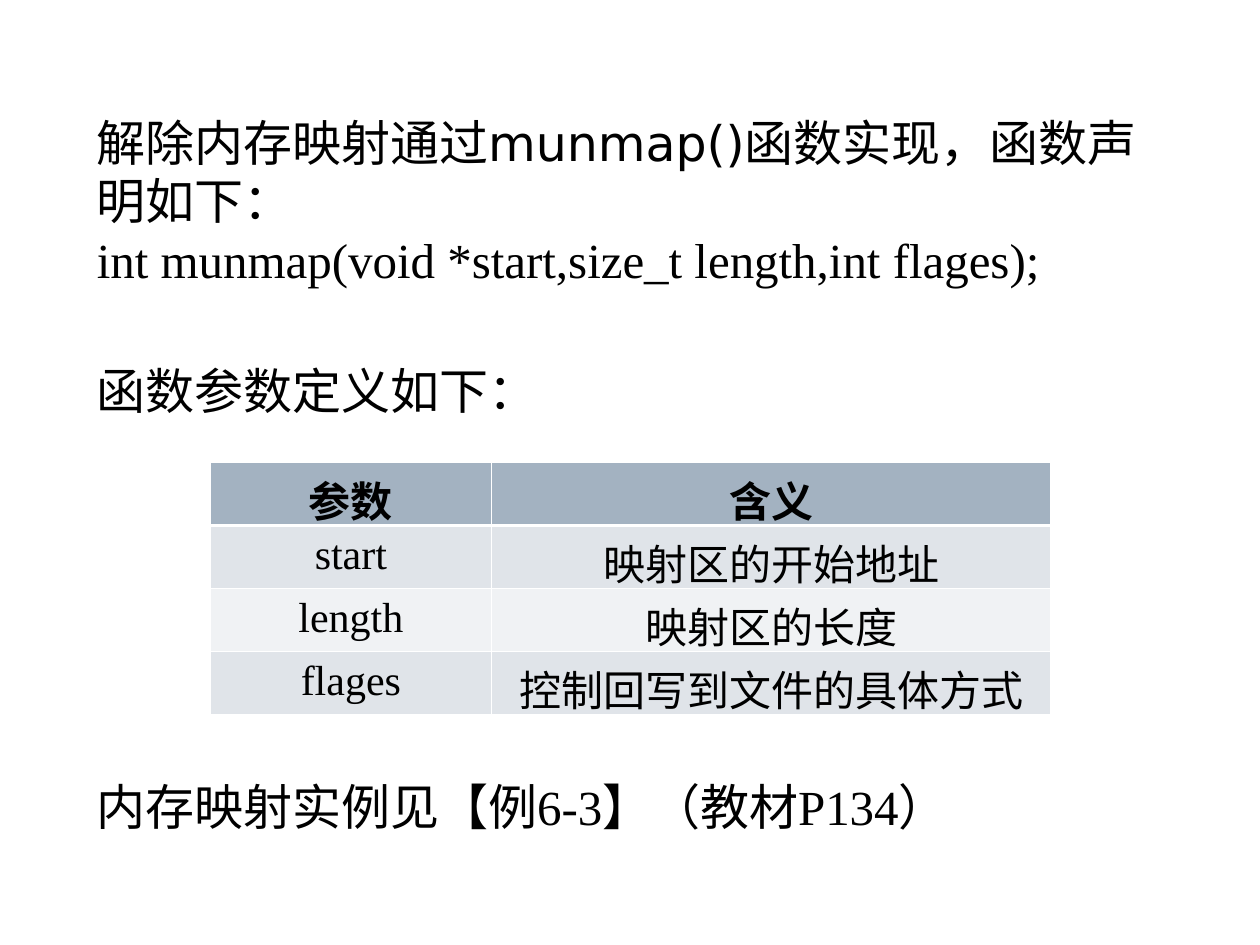
from lxml import etree
from pptx import Presentation
from pptx import util as u
from pptx.dml.color import RGBColor
from pptx.enum import text as t
from pptx.oxml.ns import qn

BLACK = RGBColor(0x00, 0x00, 0x00)
HEADER_FILL = RGBColor(0xA3, 0xB2, 0xC1)
BAND_FILLS = [RGBColor(0xF0, 0xF2, 0xF4), RGBColor(0xE0, 0xE4, 0xE9)]
BORDER = "FFFFFF"
THIN, THICK = 0.45, 1.47
SANS, SERIF = "DejaVu Sans", "Times New Roman"

# Content: (left, top, width, height), then (text, font) paragraphs
TEXTS = [
    ((0.67, 0.84, 8.66, 1.97), [
        ("解除内存映射通过munmap()函数实现，函数声明如下：", SANS),
        ("int munmap(void *start,size_t length,int flages);", SERIF),
    ]),
    ((0.67, 2.81, 8.66, 0.57), [("函数参数定义如下：", SANS)]),
    ((0.67, 6.11, 8.43, 0.57), [("内存映射实例见【例6-3】（教材P134）", SERIF)]),
]
PARAMETERS = [
    ("参数", "含义"),
    ("start", "映射区的开始地址"),
    ("length", "映射区的长度"),
    ("flages", "控制回写到文件的具体方式"),
]
TABLE_LEFT, TABLE_TOP, ROW_HEIGHT = 1.67, 3.67, 0.5
COLUMN_WIDTHS = [2.23, 4.44]


def write(paragraph, content, font, size, bold=False):
    run = paragraph.add_run()
    run.text = content
    values = {"name": font, "size": u.Pt(size), "bold": bold}
    for name, value in values.items():
        setattr(run.font, name, value)
    run.font.color.rgb = BLACK


def set_borders(cell, widths):
    properties = cell._tc.get_or_add_tcPr()
    for index, (side, width) in enumerate(widths.items()):
        line = etree.Element(qn("a:" + side), w=str(u.Pt(width)))
        fill = etree.SubElement(line, qn("a:solidFill"))
        etree.SubElement(fill, qn("a:srgbClr"), val=BORDER)
        properties.insert(index, line)


presentation = Presentation()
presentation.slide_width, presentation.slide_height = u.Inches(10), u.Inches(7.5)
slide = presentation.slides.add_slide(presentation.slide_layouts[6])

# Explanatory text
for box, paragraphs in TEXTS:
    frame = slide.shapes.add_textbox(*map(u.Inches, box)).text_frame
    frame.word_wrap = True
    frame.auto_size = t.MSO_AUTO_SIZE.SHAPE_TO_FIT_TEXT
    for index, (content, font) in enumerate(paragraphs):
        paragraph = frame.add_paragraph() if index else frame.paragraphs[0]
        write(paragraph, content, font, 28)

# Parameter table
table = slide.shapes.add_table(
    len(PARAMETERS), len(COLUMN_WIDTHS),
    u.Inches(TABLE_LEFT), u.Inches(TABLE_TOP),
    u.Inches(sum(COLUMN_WIDTHS)), u.Inches(ROW_HEIGHT * len(PARAMETERS)),
).table
for column, width in zip(table.columns, COLUMN_WIDTHS):
    column.width = u.Inches(width)
for row, entries in enumerate(PARAMETERS):
    table.rows[row].height = u.Inches(ROW_HEIGHT)
    for column, content in enumerate(entries):
        cell = table.cell(row, column)
        cell.fill.solid()
        cell.fill.fore_color.rgb = BAND_FILLS[row % 2] if row else HEADER_FILL
        paragraph = cell.text_frame.paragraphs[0]
        paragraph.alignment = t.PP_ALIGN.CENTER
        write(paragraph, content, SERIF, 24, bold=row == 0)
        set_borders(cell, {
            "lnL": THIN,
            "lnR": THIN,
            "lnT": THICK if row == 1 else THIN,
            "lnB": THICK if row == 0 else THIN,
        })

presentation.save("out.pptx")
